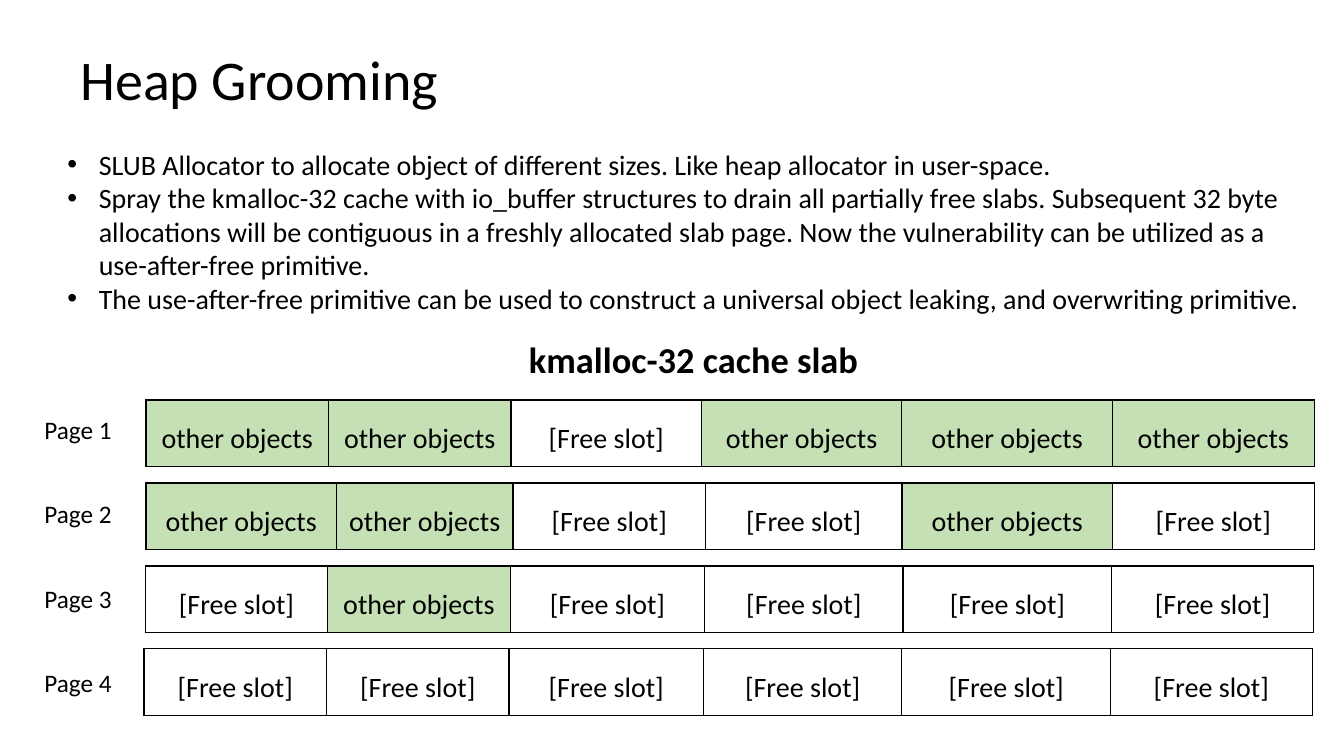
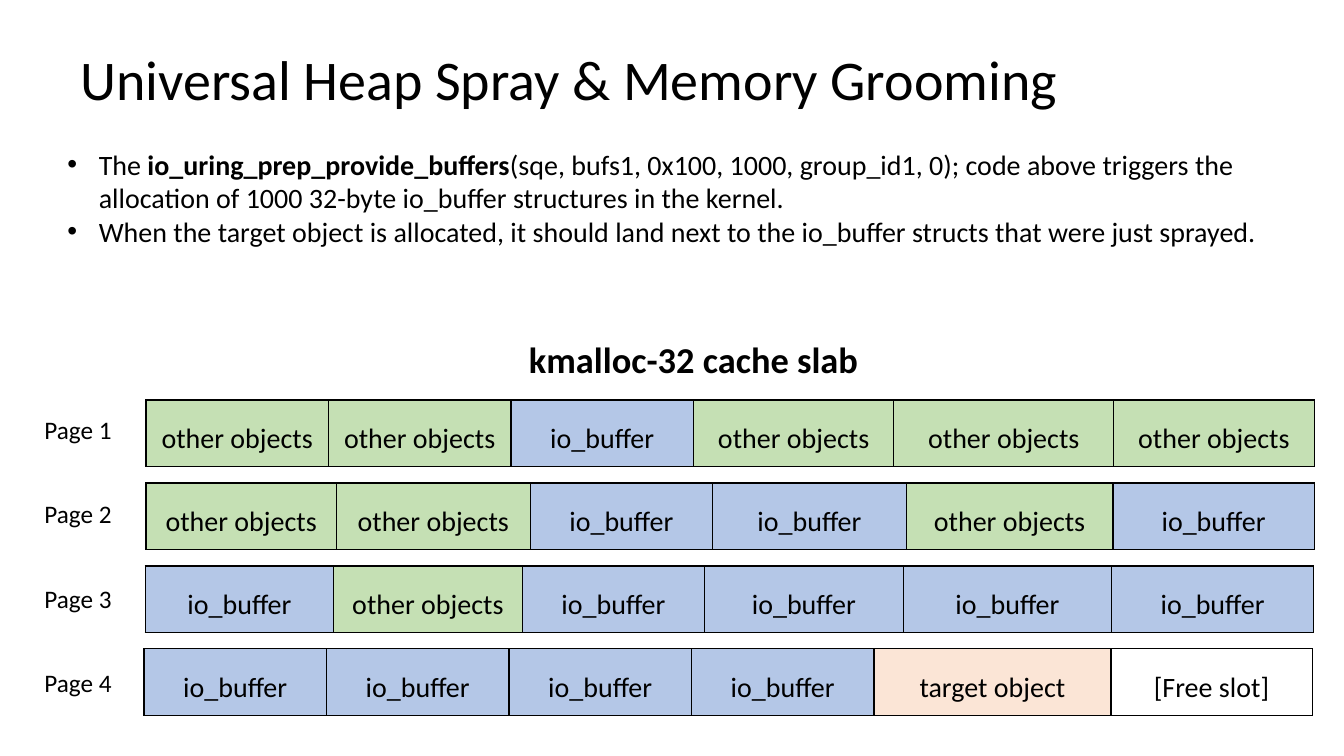
"""Build two slides on kernel heap grooming with slab page tables."""
from dataclasses import dataclass

from lxml import etree
from pptx import Presentation
from pptx.dml.color import RGBColor
from pptx.enum.text import MSO_AUTO_SIZE, PP_ALIGN
from pptx.oxml.ns import qn
from pptx.util import Cm, Pt

CENTER = PP_ALIGN.CENTER
FIT = MSO_AUTO_SIZE.SHAPE_TO_FIT_TEXT


@dataclass(frozen=True)
class Theme:
    font: str = "Calibri"
    ink: str = "000000"
    white: str = "FFFFFF"
    green: str = "C5E0B4"
    blue: str = "B4C7E7"
    peach: str = "FBE5D6"
    title: int = 40
    head: int = 26
    body: int = 20
    label: int = 18
    edge: int = 1


theme = Theme()

KINDS = {
    "F": ("[Free slot]", theme.white),
    "O": ("other objects", theme.green),
    "B": ("io_buffer", theme.blue),
    "T": ("target object", theme.peach),
}
LEFTS = [3.68, 3.68, 3.66, 3.63]
TOP, STEP = 10.08, 2.09
WIDTH, HEIGHT = 29.44, 1.68
INDENT = 0.79

SLIDES = [
    {
        "title": "Heap Grooming",
        "points": [
            ["SLUB Allocator to allocate object of different sizes. "
             "Like heap allocator in user-space."],
            ["Spray the kmalloc-32 cache with io_buffer structures to drain all "
             "partially free slabs. Subsequent 32 byte allocations will be "
             "contiguous in a freshly allocated slab page. Now the vulnerability "
             "can be utilized as a use-after-free primitive."],
            ["The use-after-free primitive can be used to construct a universal "
             "object leaking, and overwriting primitive."],
        ],
        "deep": 4.52,
        "pages": [
            ("OOFOOO", [4.6, 4.6, 4.8, 5.05, 5.31]),
            ("OOFFOF", [4.8, 4.45, 4.85, 4.95, 5.31]),
            ("FOFFFF", [4.6, 4.6, 4.9, 5, 5.26]),
            ("FFFFFF", [4.6, 4.6, 4.9, 5, 5.26]),
        ],
    },
    {
        "title": "Universal Heap Spray & Memory Grooming",
        "points": [
            ["The ", "io_uring_prep_provide_buffers",
             "(sqe, bufs1, 0x100, 1000, group_id1, 0); code above triggers the "
             "allocation of 1000 32-byte io_buffer structures in the kernel."],
            ["When the target object is allocated, it should land next to the "
             "io_buffer structs that were just sprayed."],
        ],
        "deep": 2.82,
        "pages": [
            ("OOBOOO", [4.6, 4.6, 4.6, 5.05, 5.54]),
            ("OOBBOB", [4.8, 4.88, 4.6, 4.88, 5.21]),
            ("BOBBBB", [4.75, 4.75, 4.6, 5, 5.26]),
            ("BBBBTF", [4.6, 4.6, 4.6, 4.6, 5.97]),
        ],
    },
]


def style(run, size, bold=False):
    font = run.font
    font.name, font.size, font.bold = theme.font, Pt(size), bold
    font.color.rgb = RGBColor.from_string(theme.ink)


def write(slide, spot, lines, size, bold=False, wrap=True):
    box = slide.shapes.add_textbox(*[Cm(n) for n in spot])
    frame = box.text_frame
    frame.word_wrap = wrap
    frame.auto_size = FIT
    for i, parts in enumerate(lines):
        para = frame.add_paragraph() if i else frame.paragraphs[0]
        for j, part in enumerate(parts):
            run = para.add_run()
            run.text = part
            style(run, size, bold or j % 2 == 1)
    return frame


prs = Presentation()
prs.slide_width, prs.slide_height = Cm(33.87), Cm(19.05)

for data in SLIDES:
    slide = prs.slides.add_slide(prs.slide_layouts[6])

    for i, (codes, sizes) in enumerate(data["pages"]):
        spot = LEFTS[i], TOP + i * STEP, WIDTH, HEIGHT
        table = slide.shapes.add_table(1, len(codes), *[Cm(n) for n in spot]).table
        table.first_row = table.horz_banding = False
        widths = sizes + [WIDTH - sum(sizes)]
        for j, code in enumerate(codes):
            table.columns[j].width = Cm(widths[j])
            cell = table.cell(0, j)
            text, fill = KINDS[code]
            cell.text_frame.text = text
            para = cell.text_frame.paragraphs[0]
            para.alignment, para.line_spacing = CENTER, 1.5
            style(para.runs[0], theme.body)
            props = cell._tc.get_or_add_tcPr()
            for side in ("lnL", "lnR", "lnT", "lnB"):
                line = etree.SubElement(props, qn(f"a:{side}"), w=str(Pt(theme.edge)))
                solid = etree.SubElement(line, qn("a:solidFill"))
                etree.SubElement(solid, qn("a:srgbClr"), val=theme.ink)
            cell.fill.solid()
            cell.fill.fore_color.rgb = RGBColor.from_string(fill)
        spot = 0.87, 10.31 + i * 2.13, 2.24, 1.02
        write(slide, spot, [[f"Page {i + 1}"]], theme.label, wrap=False)

    write(slide, (1.78, 1, 29.44, 1.96), [[data["title"]]], theme.title)
    frame = write(slide, (1.45, 3.58, 31.88, data["deep"]), data["points"], theme.body)
    for para in frame.paragraphs:
        props = para._p.get_or_add_pPr()
        props.set("marL", str(Cm(INDENT)))
        props.set("indent", str(-Cm(INDENT)))
        etree.SubElement(props, qn("a:buFont"), typeface="Arial")
        etree.SubElement(props, qn("a:buChar"), char="•")
    write(slide, (13.08, 8.38, 8.94, 1.37), [["kmalloc-32 cache slab"]],
          theme.head, bold=True, wrap=False)

prs.save("out.pptx")
